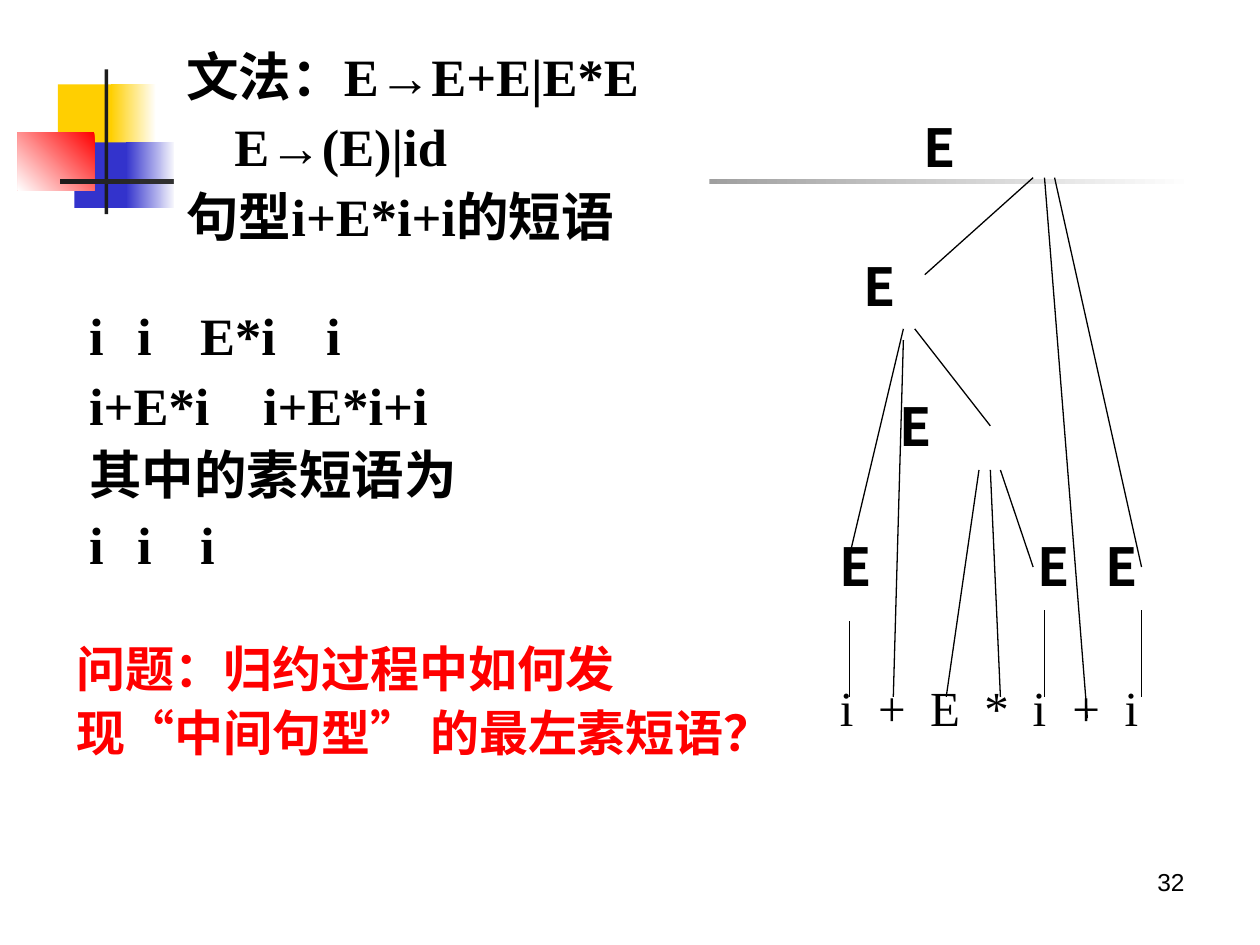
import pptx
import pptx.util
import pptx.dml.color
import pptx.enum.shapes
import pptx.enum.text
import pptx.oxml
import pptx.oxml.ns
from dataclasses import dataclass

Inches = pptx.util.Inches
Pt = pptx.util.Pt
ALIGN = pptx.enum.text.PP_ALIGN
ANCHOR = pptx.enum.text.MSO_ANCHOR


@dataclass(frozen=True)
class Theme:
    black: str = "000000"
    white: str = "FFFFFF"
    red: str = "FF0000"
    yellow: str = "FFCF01"
    blue: str = "3333CC"
    dark: str = "1C1C1C"
    serif: str = "Times New Roman"
    sans: str = "Noto Sans CJK SC"
    number_font: str = "Arial"
    body_size: float = 30
    small_size: float = 28
    number_size: float = 14
    line_width: float = 0.75


THEME = Theme()


def rgb(value):
    return pptx.dml.color.RGBColor.from_string(value)


def make_element(tag, **attributes):
    element = pptx.oxml.parse_xml(f"<{tag} {pptx.oxml.ns.nsdecls('a')}/>")
    for name, value in attributes.items():
        element.set(name, str(value))
    return element


def add_run(paragraph, text, font_name, size, color=THEME.black, bold=True):
    run = paragraph.add_run()
    run.text = text
    run.font.name = font_name
    run.font.size = Pt(size)
    run.font.bold = bold
    run.font.color.rgb = rgb(color)
    run.font._element.append(make_element("a:ea", typeface=THEME.sans))


def add_text_box(slide, box, wrap=True):
    shape = slide.shapes.add_textbox(*map(Inches, box))
    shape.text_frame.word_wrap = wrap
    return shape


def write_lines(frame, lines):
    """Write (text, tab stops) lines with the hanging indent of the body."""
    for index, (text, stops) in enumerate(lines):
        paragraph = frame.paragraphs[0] if index == 0 else frame.add_paragraph()
        properties = paragraph._p.get_or_add_pPr()
        properties.set("marL", str(Inches(0.38)))
        properties.set("indent", str(Inches(-0.38)))
        properties.append(make_element("a:buNone"))
        if stops:
            tab_list = make_element("a:tabLst")
            for stop in stops:
                tab_list.append(make_element("a:tab", pos=Inches(stop), algn="l"))
            properties.append(tab_list)
        paragraph.alignment = ALIGN.LEFT
        paragraph.line_spacing = 0.9
        paragraph.space_before = Pt(7.5 if index else 0)
        add_run(paragraph, text, THEME.serif, THEME.body_size)


def add_block(slide, box, colors, angle=180):
    shape = slide.shapes.add_shape(
        pptx.enum.shapes.MSO_SHAPE.RECTANGLE, *map(Inches, box))
    shape.shadow.inherit = False
    shape.line.fill.background()
    if len(colors) == 1:
        shape.fill.solid()
        shape.fill.fore_color.rgb = rgb(colors[0])
        return
    shape.fill.gradient()
    shape.fill.gradient_angle = angle
    for stop, color, position in zip(shape.fill.gradient_stops, colors, (0, 1)):
        stop.color.rgb = rgb(color)
        stop.position = position


def add_decoration(slide, left, top):
    """Coloured squares, cross bar and ruled line; offsets from the corner."""
    blocks = [
        ((0.32, 0.12, 0.48, 0.52), [THEME.yellow], 0),
        ((0.74, 0.12, 0.36, 0.52), [THEME.white, THEME.yellow], 180),
        ((0.45, 0.58, 0.46, 0.52), [THEME.blue], 0),
        ((0.86, 0.58, 0.40, 0.52), [THEME.white, THEME.blue], 180),
        ((0, 0.50, 0.61, 0.46), [THEME.red, THEME.white], 225),
        ((0.69, 0, 0.03, 1.15), [THEME.dark], 0),
        ((0.34, 0.87, 9, 0.04), [THEME.white, THEME.dark], 180),
    ]
    for (x, y, width, height), colors, angle in blocks:
        add_block(slide, (left + x, top + y, width, height), colors, angle)


def add_grammar(slide, box):
    body = slide.placeholders[1]
    body.left, body.top, body.width, body.height = map(Inches, box)
    body.fill.solid()
    body.fill.fore_color.rgb = rgb(THEME.white)
    # Bring the white box in front of the ruled line
    body._element.getparent().append(body._element)
    frame = body.text_frame
    frame.auto_size = pptx.enum.text.MSO_AUTO_SIZE.NONE
    frame.vertical_anchor = ANCHOR.TOP
    write_lines(frame, [
        ("文法：E→E+E|E*E", []),
        ("\tE→(E)|id", [1.69]),
        ("句型i+E*i+i的短语", []),
    ])


def add_label(slide, x, y, text, font_name, size, bold):
    width, height = 0.4, 0.5
    shape = add_text_box(slide, (x - width / 2, y - height / 2, width, height), False)
    frame = shape.text_frame
    frame.margin_left = frame.margin_right = 0
    frame.margin_top = frame.margin_bottom = 0
    frame.vertical_anchor = ANCHOR.MIDDLE
    frame.paragraphs[0].alignment = ALIGN.CENTER
    add_run(frame.paragraphs[0], text, font_name, size, bold=bold)


def add_branch(slide, start, end):
    line = slide.shapes.add_connector(
        pptx.enum.shapes.MSO_CONNECTOR.STRAIGHT, *map(Inches, start + end))
    line.line.color.rgb = rgb(THEME.black)
    line.line.width = Pt(THEME.line_width)
    line._element.spPr.append(make_element("a:effectLst"))


def add_tree(slide, left, top):
    """Syntax tree; all positions are offsets from its upper left corner."""
    row_step = 1.11
    rows = [[0.89], [0.41], [0.70], [0.22, 1.79, 2.33]]
    for level, centers in enumerate(rows):
        for x in centers:
            add_label(slide, left + x, top + 0.78 + level * row_step, "E",
                      THEME.sans, THEME.body_size, True)
    leaf_centers = [0.15, 0.51, 0.93, 1.34, 1.68, 2.05, 2.41]
    for x, symbol in zip(leaf_centers, "i+E*i+i"):
        add_label(slide, left + x, top + 0.79 + 4 * row_step, symbol,
                  THEME.serif, THEME.small_size, False)
    branches = [
        # Leaves under the lowest E nodes
        ((0.17, 5.15), (0.17, 4.55)),
        ((1.72, 5.15), (1.72, 4.46)),
        ((2.49, 5.15), (2.49, 4.46)),
        # Third level
        ((0.94, 5.15), (1.20, 3.35)),
        ((1.37, 5.15), (1.29, 3.35)),
        ((1.63, 4.12), (1.37, 3.35)),
        # Second level
        ((0.17, 4.04), (0.60, 2.23)),
        ((0.52, 5.15), (0.60, 2.32)),
        ((1.29, 3.00), (0.69, 2.23)),
        # Root
        ((2.06, 5.32), (1.72, 1.03)),
        ((0.77, 1.80), (1.63, 1.03)),
        ((2.49, 4.12), (1.80, 1.03)),
    ]
    for (x1, y1), (x2, y2) in branches:
        add_branch(slide, (left + x1, top + y1), (left + x2, top + y2))


def add_question(slide, box):
    paragraph = add_text_box(slide, box).text_frame.paragraphs[0]
    paragraph.line_spacing = 1.1
    for text, font_name in [
        ("问题：归约过程中如何发现", THEME.sans),
        ("“", THEME.serif),
        ("中间句型", THEME.sans),
        ("”", THEME.serif),
        (" 的最左素短语？", THEME.sans),
    ]:
        add_run(paragraph, text, font_name, THEME.small_size, THEME.red)


def add_phrases(slide, box):
    write_lines(add_text_box(slide, box).text_frame, [
        ("i\ti\tE*i\ti", [0.53, 1.06, 1.87]),
        ("i+E*i\ti+E*i+i", [1.37]),
        ("其中的素短语为", []),
        ("i\ti\ti", [0.63, 1.27]),
    ])


def add_slide_number(slide, box):
    paragraph = add_text_box(slide, box).text_frame.paragraphs[0]
    paragraph.alignment = ALIGN.RIGHT
    add_run(paragraph, "32", THEME.number_font, THEME.number_size, bold=False)


def main():
    presentation = pptx.Presentation()
    presentation.slide_width, presentation.slide_height = Inches(10), Inches(7.5)
    slide = presentation.slides.add_slide(presentation.slide_layouts[1])
    title = slide.shapes.title._element
    title.getparent().remove(title)
    add_decoration(slide, 0.14, 0.55)
    add_slide_number(slide, (7.17, 6.83, 2.33, 0.52))
    add_grammar(slide, (1.38, 0.36, 4.25, 1.91))
    add_tree(slide, 6.57, 0.38)
    add_question(slide, (0.51, 4.97, 5.42, 1.64))
    add_phrases(slide, (0.61, 2.41, 4, 2.08))
    presentation.save("out.pptx")


if __name__ == "__main__":
    main()
